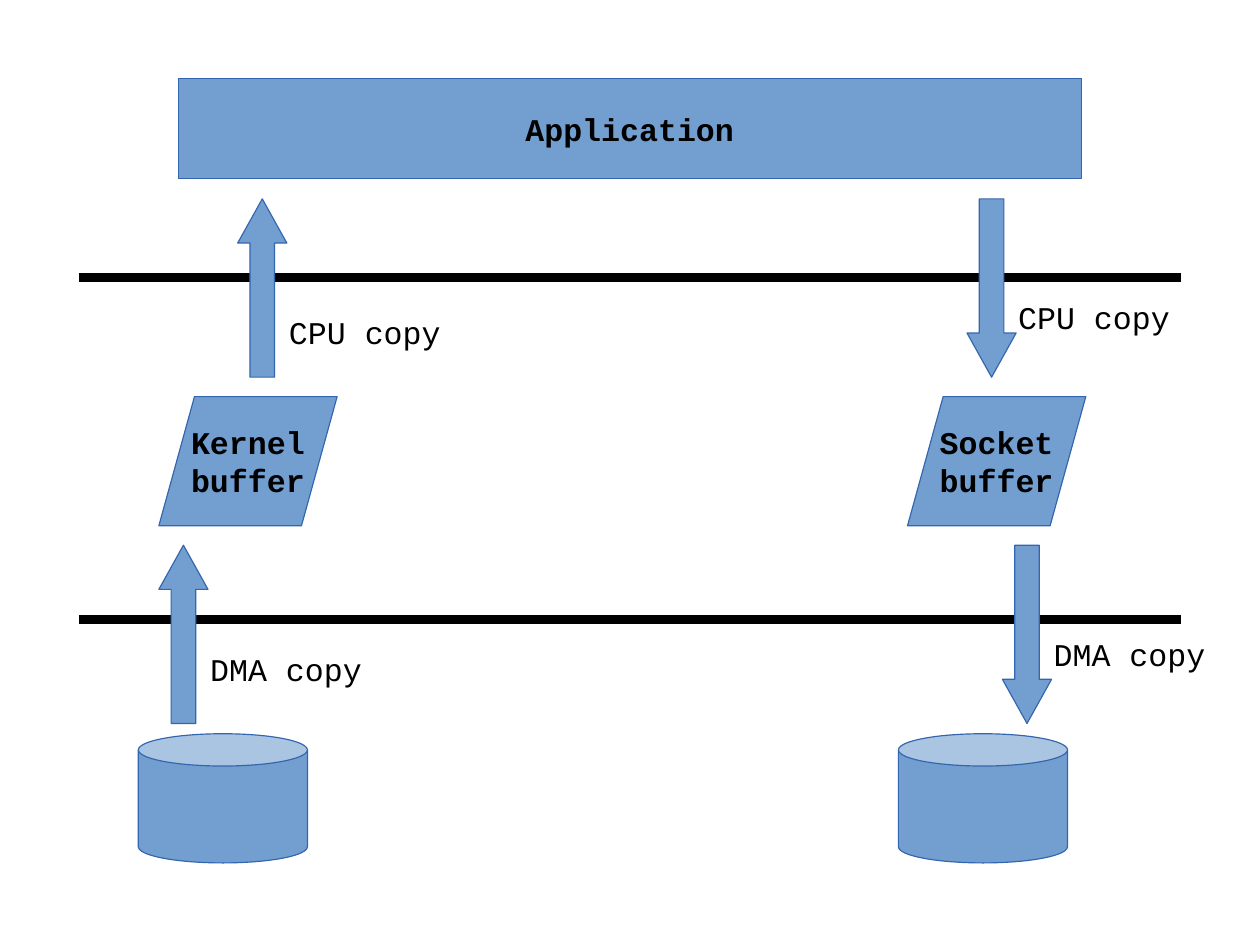
from pptx import Presentation
from pptx.dml.color import RGBColor
from pptx.enum.shapes import MSO_CONNECTOR, MSO_SHAPE
from pptx.enum.text import MSO_ANCHOR, MSO_AUTO_SIZE, PP_ALIGN
from pptx.oxml.ns import qn
from pptx.util import Inches, Pt

COLORS = {"fill": "729FCF", "outline": "3465AF", "ink": "000000"}
CM_PER_INCH = 2.54

prs = Presentation()
# The page is 28 by 21 cm
prs.slide_width, prs.slide_height = Inches(28 / CM_PER_INCH), Inches(21 / CM_PER_INCH)
slide = prs.slides.add_slide(prs.slide_layouts[6])


def write(shape, text, bold=False, align=PP_ALIGN.LEFT, anchor=MSO_ANCHOR.TOP):
    frame = shape.text_frame
    frame.text = text
    frame.word_wrap = False
    frame.vertical_anchor = anchor
    for paragraph in frame.paragraphs:
        paragraph.alignment = align
        font = paragraph.runs[0].font
        font.name, font.size, font.bold = "Courier New", Pt(19.9), bold
        font.color.rgb = RGBColor.from_string(COLORS["ink"])


def add_block(preset, left, top, width, height, text=""):
    """Add a blue preset shape with an optional bold centred caption."""
    block = slide.shapes.add_shape(
        preset, Inches(left), Inches(top), Inches(width), Inches(height))
    block.shadow.inherit = False
    block.fill.solid()
    block.fill.fore_color.rgb = RGBColor.from_string(COLORS["fill"])
    block.line.color.rgb = RGBColor.from_string(COLORS["outline"])
    block.line.width = Pt(0)
    if text:
        write(block, text, bold=True, align=PP_ALIGN.CENTER, anchor=MSO_ANCHOR.MIDDLE)
    return block


# Boundaries between application, kernel and hardware
for boundary_y in (2.43, 5.42):
    boundary = slide.shapes.add_connector(
        MSO_CONNECTOR.STRAIGHT, Inches(0.69), Inches(boundary_y),
        Inches(10.33), Inches(boundary_y))
    boundary.line.color.rgb = RGBColor.from_string(COLORS["ink"])
    boundary.line.width = Pt(5.67)
    properties = boundary._element.spPr
    properties.append(properties.makeelement(qn("a:effectLst"), {}))

add_block(MSO_SHAPE.FLOWCHART_PROCESS, 1.56, 0.69, 7.9, 0.87, "Application")

for buffer_left, buffer_name in ((1.39, "Kernel\nbuffer"), (7.94, "Socket\nbuffer")):
    add_block(MSO_SHAPE.FLOWCHART_DATA, buffer_left, 3.47, 1.56, 1.13, buffer_name)

for disk_left in (1.21, 7.86):
    disk = add_block(MSO_SHAPE.CAN, disk_left, 6.42, 1.48, 1.13)
    disk.adjustments[0] = 0.25

# Copy steps: arrow left, arrow top, rotation, label, label top
copy_steps = (
    (2.08, 1.74, 0, "CPU copy", 2.69),
    (1.39, 4.77, 0, "DMA copy", 5.64),
    (8.46, 1.74, 180, "CPU copy", 2.56),
    (8.77, 4.77, 180, "DMA copy", 5.51),
)
for arrow_left, arrow_top, rotation, step_name, label_top in copy_steps:
    arrow = add_block(MSO_SHAPE.UP_ARROW, arrow_left, arrow_top, 0.43, 1.56)
    arrow.adjustments[0], arrow.adjustments[1] = 0.5, 0.9
    arrow.rotation = rotation
    label = slide.shapes.add_textbox(
        Inches(arrow_left + 0.35), Inches(label_top), Inches(1.53), Inches(0.43))
    write(label, step_name)
    label.text_frame.auto_size = MSO_AUTO_SIZE.SHAPE_TO_FIT_TEXT

prs.save("out.pptx")
